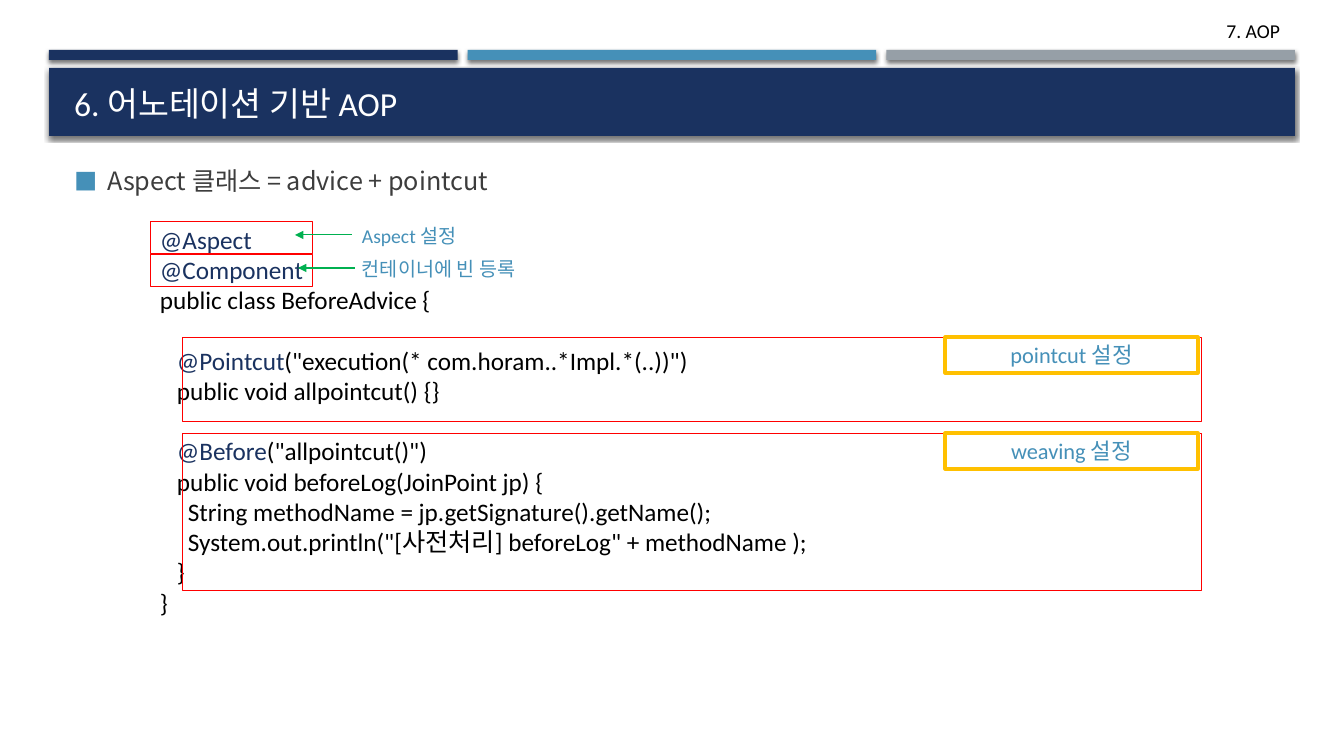
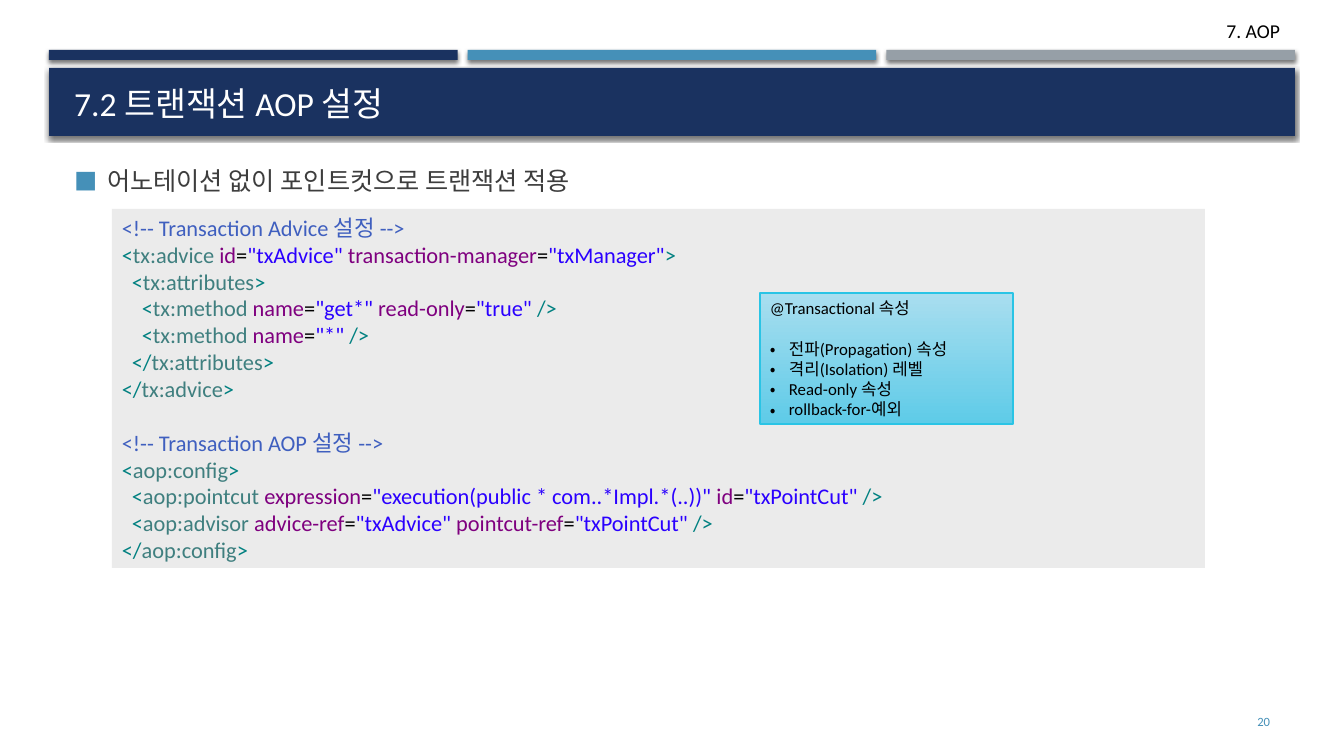
from lxml import etree
from pptx import Presentation
from pptx import util as u
from pptx.dml import color
from pptx.enum import shapes, text
from pptx.oxml import ns

NAVY, BLUE, GRAY = "1A3260", "4590B8", "969FA7"
BLACK, WHITE, INK = "000000", "FFFFFF", "3D3D3D"
RED, GOLD, GREEN = "FF0000", "FFC000", "00B050"
TEAL, MOSS, PLUM, VIOLET, NOTE = "008080", "3F7F7F", "7F007F", "2A00FF", "3F5FBF"
LATIN, HANGUL = "Calibri", "Noto Sans CJK KR"
LEFT, RIGHT, MID = text.PP_ALIGN.LEFT, text.PP_ALIGN.RIGHT, text.PP_ALIGN.CENTER
TOP, CENTER, BASE = (
    text.MSO_ANCHOR.TOP,
    text.MSO_ANCHOR.MIDDLE,
    text.MSO_ANCHOR.BOTTOM,
)


def px(size):
    return u.Emu(round(size * 914400 / 100.8))


def rgb(code):
    return color.RGBColor.from_string(code)


def node(parent, name, **attrs):
    item = etree.SubElement(parent, ns.qn("a:" + name))
    for key, value in attrs.items():
        item.set(key, str(value))
    return item


def row(*runs, indent=0, before=0, after=0, mark=None):
    return dict(runs=runs, indent=indent, before=before, after=after, mark=mark)


def bullet(para, mark, indent):
    sign, tint, scale = mark
    props = para._p.get_or_add_pPr()
    props.set("indent", str(-px(indent)))
    node(node(props, "buClr"), "srgbClr", val=tint)
    node(props, "buSzPct", val=scale * 1000)
    node(props, "buFont", typeface=HANGUL)
    node(props, "buChar", char=sign)


def write(shape, rows, size=18, ink=BLACK, face=LATIN, align=LEFT, anchor=TOP):
    frame = shape.text_frame
    frame.word_wrap = True
    frame.auto_size = text.MSO_AUTO_SIZE.NONE
    frame.vertical_anchor = anchor
    for index, line in enumerate(rows):
        if isinstance(line, str):
            line = row(line)
        para = frame.paragraphs[0] if index == 0 else frame.add_paragraph()
        para.alignment = align
        para.space_before = u.Pt(line["before"])
        para.space_after = u.Pt(line["after"])
        para._p.get_or_add_pPr().set("marL", str(px(line["indent"])))
        if line["mark"]:
            bullet(para, line["mark"], line["indent"])
        for part in line["runs"]:
            words, tint = (part, ink) if isinstance(part, str) else part
            run = para.add_run()
            run.text = words
            run.font.size = u.Pt(size)
            run.font.name = face
            run.font.color.rgb = rgb(tint)
            node(run._r.get_or_add_rPr(), "ea", typeface=HANGUL)


def place(shape, box):
    shape.left, shape.top, shape.width, shape.height = map(px, box)


def rect(slide, box, fill=None, line=None, width=0.5, shade=False):
    shape = slide.shapes.add_shape(shapes.MSO_SHAPE.RECTANGLE, *map(px, box))
    shape.shadow.inherit = False
    if fill:
        shape.fill.solid()
        shape.fill.fore_color.rgb = rgb(fill)
    else:
        shape.fill.background()
    if line:
        shape.line.color.rgb = rgb(line)
        shape.line.width = u.Pt(width)
    else:
        shape.line.fill.background()
    if shade:
        effect = shape.element.spPr.find(ns.qn("a:effectLst"))
        cast = node(effect, "outerShdw", blurRad=u.Pt(3), dist=u.Pt(2),
                    dir=5400000, algn="ctr", rotWithShape=0)
        node(node(cast, "srgbClr", val=BLACK), "alpha", val=55000)
    return shape


def label(slide, box, words, **form):
    write(slide.shapes.add_textbox(*map(px, box)), [words], **form)


def arrow(slide, start, end, level):
    link = slide.shapes.add_connector(
        shapes.MSO_CONNECTOR.STRAIGHT, px(start), px(level), px(end), px(level))
    link.line.color.rgb = rgb(GREEN)
    link.line.width = u.Pt(0.75)
    props = link.element.spPr
    node(props.find(ns.qn("a:ln")), "tailEnd", type="triangle")
    node(props, "effectLst")


def header(slide, box, title):
    left, top, width, height = box
    gap = 10
    part = (width - 2 * gap) / 3
    for index, tint in enumerate((NAVY, BLUE, GRAY)):
        spot = left + index * (part + gap)
        rect(slide, (spot, top, part, 10), tint, shade=True)
    rect(slide, (left, top + 18, width, height - 18), NAVY, shade=True)
    label(slide, (left + width - 412, top - 36, 407, 33), "7. AOP",
          size=14, align=RIGHT)
    head = slide.shapes.title
    place(head, (left + 15, top + 23, width - 30, 55))
    write(head, [title], size=24, ink=WHITE, anchor=BASE)
    head.element.getparent().append(head.element)


def page(deck, title, topic):
    slide = deck.slides.add_slide(deck.slide_layouts[1])
    header(slide, (49, 50, 1246, 86), title)
    body = slide.placeholders[1]
    place(body, (64, 160, 1216, 532))
    point = row(topic, indent=33, before=3.6, after=6, mark=("■", BLUE, 92))
    write(body, [point], ink=INK, face=HANGUL)
    return slide


def source(slide, box):
    rows = [
        row(("@Aspect", NAVY)),
        row(("@Component", NAVY)),
        "public class BeforeAdvice {",
        row(("@Pointcut", NAVY), '("execution(* com.horam..*Impl.*(..))")',
            indent=17, before=21.6),
        row("public void allpointcut() {}", indent=17),
        row(("@Before", NAVY), '("allpointcut()")', indent=17, before=21.6),
        row("public void beforeLog(JoinPoint jp) {", indent=17),
        row("String methodName = jp.getSignature().getName();", indent=28),
        row('System.out.println("[사전처리] beforeLog" + methodName );', indent=28),
        row("}", indent=17),
        "}",
    ]
    write(slide.shapes.add_textbox(*map(px, box)), rows)


def group(slide, box, words):
    left, top, width, height = box
    rect(slide, box, line=RED)
    tab = rect(slide, (left + width - 256, top, 253, 36), line=GOLD, width=2.25)
    write(tab, [words], size=16, ink=BLUE, align=MID, anchor=CENTER)


def callout(slide, box, words, shift):
    left, top, width, height = box
    rect(slide, box, line=RED)
    label(slide, (left + 202, top - 3, 253, 36), words,
          size=14, ink=BLUE, anchor=CENTER)
    arrow(slide, left + 202 + shift, left + 145 + shift, top + 14)


def tag(start, name, end, *pairs, indent=0):
    runs = [(start, TEAL), (name, MOSS)]
    for key, value in pairs:
        runs += [(" " + key, PLUM), ("=", BLACK), (f'"{value}"', VIOLET)]
    return row(*runs, (end, TEAL), indent=indent)


def config(slide, box):
    rows = [
        row(("<!-- Transaction Advice 설정 -->", NOTE)),
        tag("<", "tx:advice", ">", ("id", "txAdvice"),
            ("transaction-manager", "txManager")),
        tag("<", "tx:attributes", ">", indent=10),
        tag("<", "tx:method", " />", ("name", "get*"), ("read-only", "true"),
            indent=20),
        tag("<", "tx:method", " />", ("name", "*"), indent=20),
        tag("</", "tx:attributes", ">", indent=10),
        tag("</", "tx:advice", ">"),
        row(("<!-- Transaction AOP 설정 -->", NOTE), before=19.2),
        tag("<", "aop:config", ">"),
        tag("<", "aop:pointcut", " />",
            ("expression", "execution(public * com..*Impl.*(..))"),
            ("id", "txPointCut"), indent=10),
        tag("<", "aop:advisor", " />", ("advice-ref", "txAdvice"),
            ("pointcut-ref", "txPointCut"), indent=10),
        tag("</", "aop:config", ">"),
    ]
    write(rect(slide, box, "EBEBEB"), rows, size=16)


def card(slide, box):
    shape = rect(slide, box, line="2AC4E5", width=1)
    shape.fill.gradient()
    shape.fill.gradient_angle = 270
    for stop, tint in zip(shape.fill.gradient_stops, ("A9DEEF", "5ECBE8")):
        stop.color.rgb = rgb(tint)
    items = ("전파(Propagation) 속성", "격리(Isolation) 레벨",
             "Read-only 속성", "rollback-for-예외")
    rows = ["@Transactional 속성"]
    for index, item in enumerate(items):
        rows.append(row(item, indent=19, before=0 if index else 14.4,
                        mark=("•", BLACK, 100)))
    write(shape, rows, size=12)


def aspect(deck):
    slide = page(deck, "6. 어노테이션 기반 AOP", "Aspect 클래스 = advice + pointcut")
    source(slide, (150, 219, 967, 403))
    group(slide, (182, 337, 1019, 84), "pointcut 설정")
    group(slide, (182, 433, 1019, 157), "weaving 설정")
    callout(slide, (150, 221, 162, 32), "Aspect 설정", 0)
    callout(slide, (150, 254, 162, 32), "컨테이너에 빈 등록", 3)


def trade(deck):
    slide = page(deck, "7.2 트랜잭션 AOP 설정",
                 "어노테이션 없이 포인트컷으로 트랜잭션 적용")
    label(slide, (1164, 702, 116, 40), "20", size=9, ink=BLUE,
          align=RIGHT, anchor=CENTER)
    config(slide, (112, 209, 1093, 359))
    card(slide, (760, 293, 253, 131))


deck = Presentation()
deck.slide_width, deck.slide_height = px(1344), px(756)
aspect(deck)
trade(deck)
deck.save("out.pptx")
